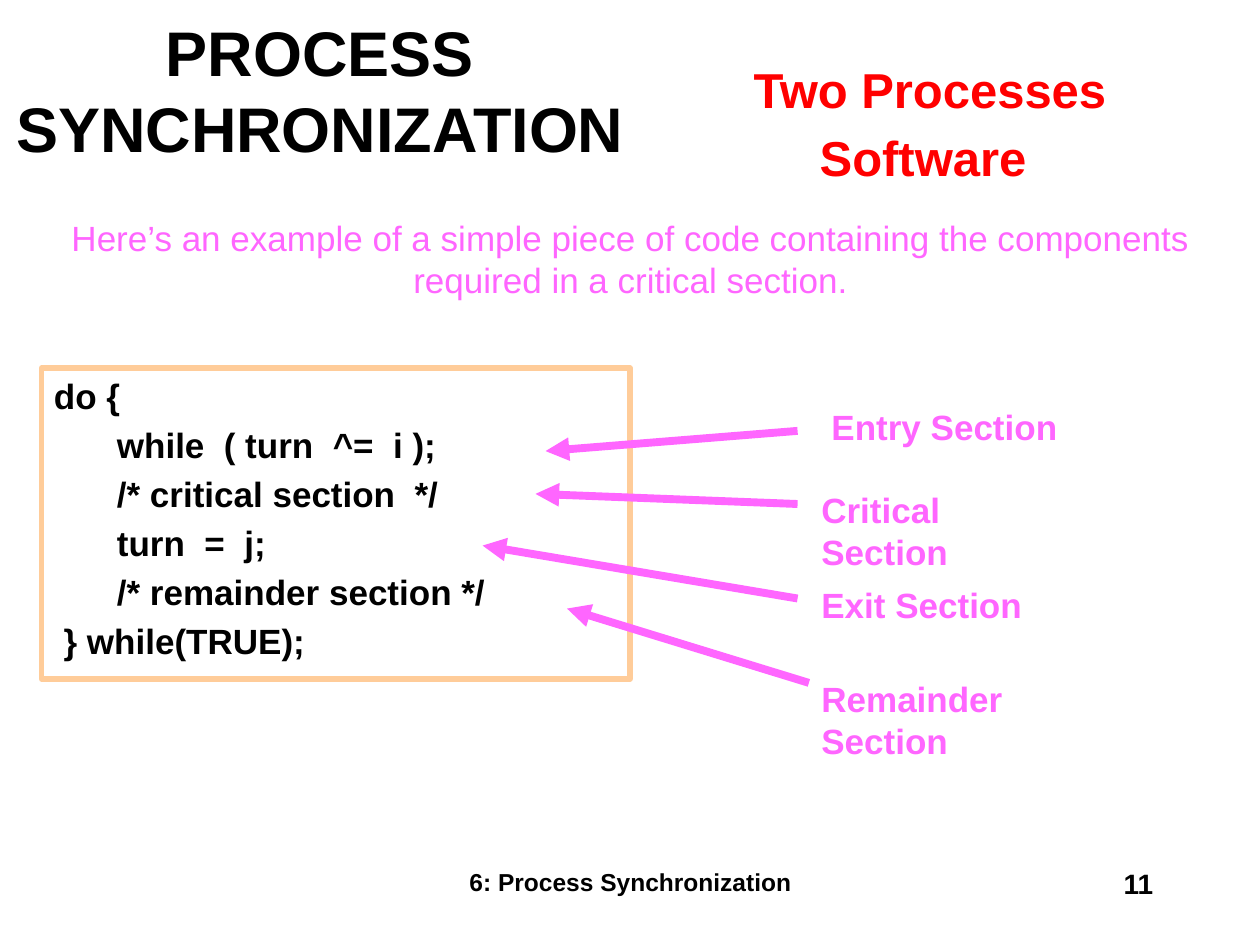
from lxml import etree
from pptx import Presentation
from pptx.dml.color import RGBColor
from pptx.enum.shapes import MSO_CONNECTOR, MSO_SHAPE
from pptx.enum.text import MSO_ANCHOR, MSO_AUTO_SIZE, PP_ALIGN
from pptx.oxml.ns import qn
from pptx.util import Inches, Pt

LEFT, CENTER, RIGHT = PP_ALIGN.LEFT, PP_ALIGN.CENTER, PP_ALIGN.RIGHT
TOP, MIDDLE = MSO_ANCHOR.TOP, MSO_ANCHOR.MIDDLE

# Content
FONT = "Arial"
COLORS = {"text": "000000", "topic": "FF0000", "note": "FF66FF", "frame": "FFCC99"}
TITLE = "PROCESS SYNCHRONIZATION"
TOPIC = ["Two Processes", "Software "]
INTRO = ("Here’s an example of a simple piece of code containing the components "
         "required in a critical section.")
CODE = [
    "do {",
    "\twhile  ( turn  ^=  i );",
    "\t/* critical section  */",
    "\tturn  =  j;",
    "\t/* remainder section */",
    " } while(TRUE);",
]
# label, box, wraps onto two lines, arrow start, arrow end
SECTIONS = [
    ("Entry Section", (6.5, 3.17, 1.99, 0.43), False, (6.33, 3.42), (4.33, 3.58)),
    ("Critical Section", (6.42, 3.83, 2.22, 0.43), True, (6.33, 4), (4.25, 3.92)),
    ("Exit Section", (6.42, 4.58, 1.79, 0.43), False, (6.33, 4.75), (3.83, 4.33)),
    ("Remainder Section", (6.42, 5.33, 2.72, 0.43), True, (6.42, 5.42), (4.5, 4.83)),
]
FOOTER = "6: Process Synchronization"
PAGE_NUMBER = "11"


def rgb(name):
    return RGBColor.from_string(COLORS[name])


def write(shape, lines, size, color="text", bold=True, align=LEFT, anchor=TOP, wrap=True):
    frame = shape.text_frame
    frame.text = "\n".join(lines)
    frame.word_wrap = wrap
    frame.auto_size = MSO_AUTO_SIZE.NONE
    frame.vertical_anchor = anchor
    for index, paragraph in enumerate(frame.paragraphs):
        paragraph.alignment = align
        paragraph.space_before = Pt(size * 0.2 if index else 0)
        for run in paragraph.runs:
            run.font.name = FONT
            run.font.size = Pt(size)
            run.font.bold = bold
            run.font.color.rgb = rgb(color)


def place(shape, box):
    shape.left, shape.top, shape.width, shape.height = map(Inches, box)


def add_text(slide, box, lines, size, **style):
    text_box = slide.shapes.add_textbox(*map(Inches, box))
    write(text_box, lines, size, **style)
    return text_box


def add_arrow(slide, start, end):
    arrow = slide.shapes.add_connector(
        MSO_CONNECTOR.STRAIGHT, *map(Inches, start + end))
    arrow.line.color.rgb = rgb("note")
    arrow.line.width = Pt(4.5)
    etree.SubElement(arrow.line._get_or_add_ln(), qn("a:tailEnd"), type="triangle")
    etree.SubElement(arrow._element.spPr, qn("a:effectLst"))


def main():
    deck = Presentation()
    deck.slide_width, deck.slide_height = Inches(10), Inches(7.5)
    slide = deck.slides.add_slide(deck.slide_layouts[0])

    # Title, topic and introduction
    title, intro = slide.placeholders
    place(title, (0, 0.25, 5.08, 0.92))
    write(title, [TITLE], 36, align=CENTER, anchor=MIDDLE)
    add_text(slide, (5.86, 0.42, 3.04, 1.13), TOPIC, 28,
             color="topic", align=CENTER, wrap=False)
    place(intro, (0.42, 1.67, 9.17, 0.83))
    write(intro, [INTRO], 20, color="note", bold=False, align=CENTER)

    # Framed code
    code_box = slide.shapes.add_shape(
        MSO_SHAPE.RECTANGLE, *map(Inches, (0.33, 2.92, 4.67, 2.47)))
    code_box.shadow.inherit = False
    code_box.fill.background()
    code_box.line.color.rgb = rgb("frame")
    code_box.line.width = Pt(3)
    write(code_box, CODE, 20)

    # Section labels with arrows into the code
    for label, box, wraps, start, end in SECTIONS:
        label_box = add_text(slide, box, [label], 20, color="note", wrap=wraps)
        if wraps:
            label_box.text_frame.margin_right = Inches(0.4)
        add_arrow(slide, start, end)

    # Footer and page number
    add_text(slide, (3.42, 6.83, 3.17, 0.5), [FOOTER], 14, align=CENTER)
    add_text(slide, (7.17, 6.83, 2.08, 0.5), [PAGE_NUMBER], 16, align=RIGHT)

    deck.save("out.pptx")


if __name__ == "__main__":
    main()
